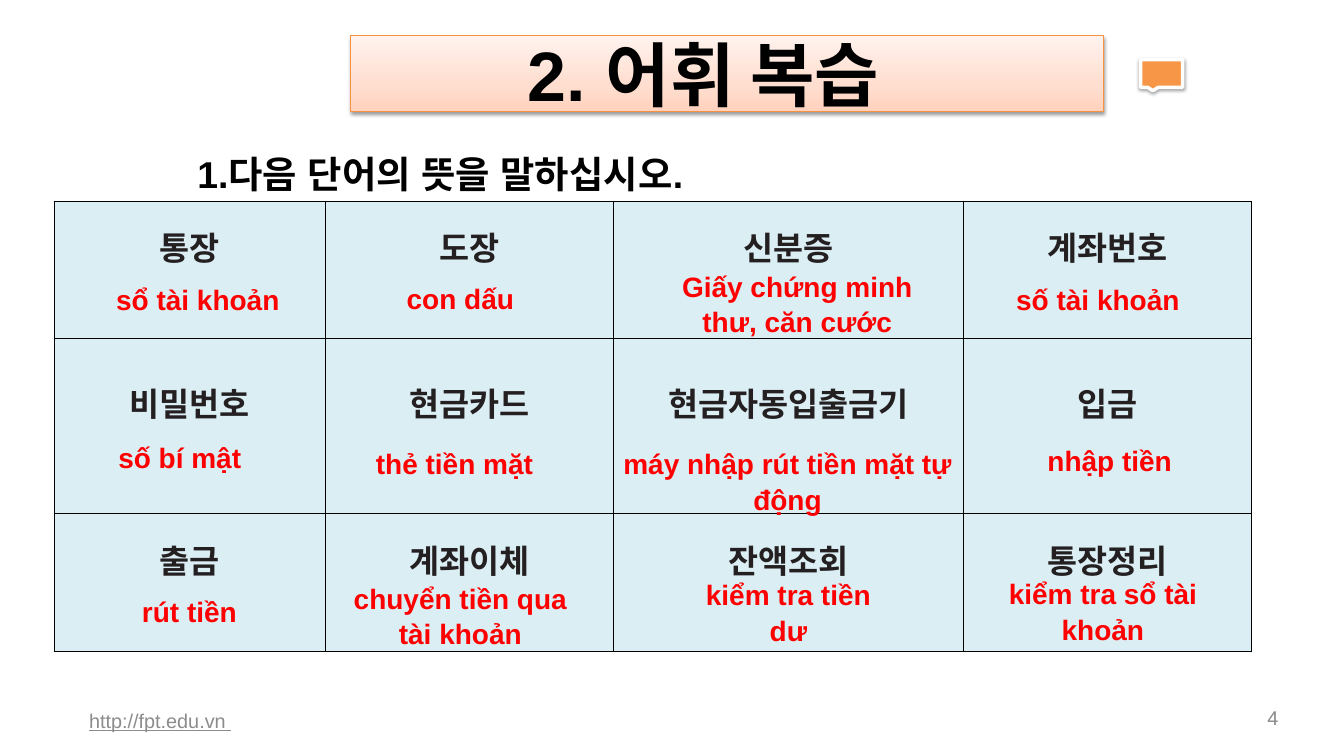
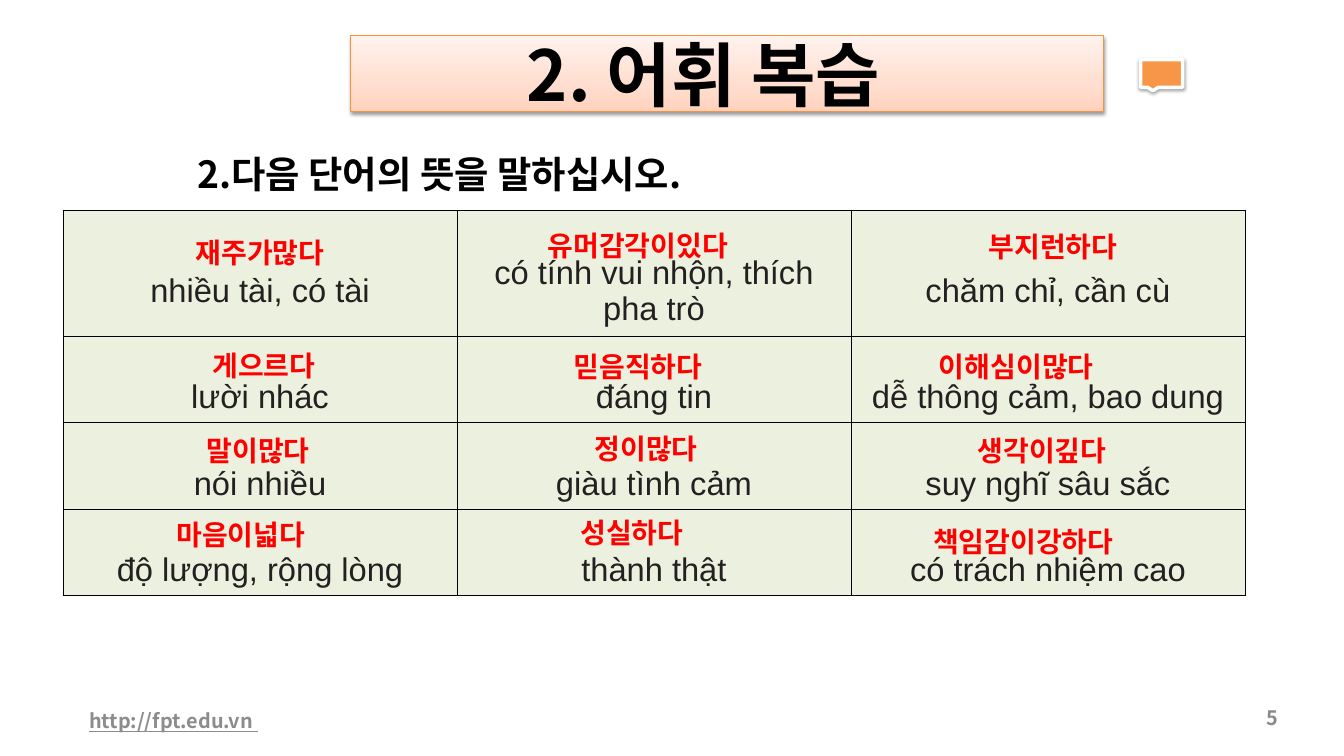
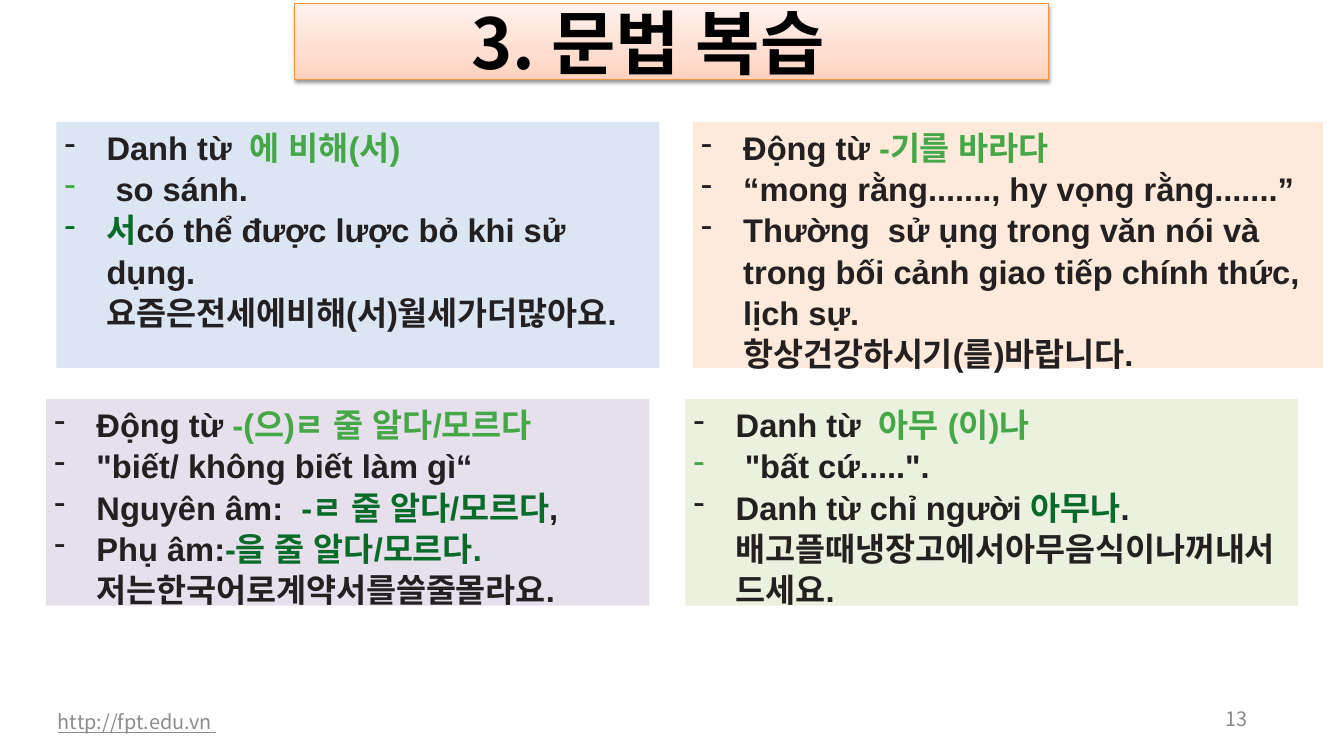
"""Build three Korean vocabulary and grammar review slides."""
from dataclasses import dataclass

from lxml import etree
from pptx import Presentation
from pptx import util as u
from pptx.dml.color import RGBColor
from pptx.enum import shapes, text
from pptx.oxml import ns

Inches, Pt = u.Inches, u.Pt
CENTER, LEFT, RIGHT = text.PP_ALIGN.CENTER, text.PP_ALIGN.LEFT, text.PP_ALIGN.RIGHT
TOP, MIDDLE = text.MSO_ANCHOR.TOP, text.MSO_ANCHOR.MIDDLE


@dataclass(frozen=True)
class Theme:
    latin: str = "Arial"
    korean: str = "Noto Sans CJK KR"
    black: str = "000000"
    ink: str = "242021"
    red: str = "FF0000"
    green: str = "45A747"
    forest: str = "096B29"
    link: str = "8C8C8C"
    number: str = "898989"
    orange: str = "F79646"
    white: str = "FFFFFF"
    title_line: str = "F69240"
    title_stops: tuple = ((0, "FFD2BD"), (35, "FFDED0"), (100, "FFF2ED"))
    title_size: int = 60
    heading_size: int = 32
    body_size: int = 28
    label_size: int = 24
    footer_size: int = 17
    loose: float = 1.05


THEME = Theme()
FOOTER = "http://fpt.edu.vn "

WORDS = {
    "title": "2. 어휘 복습", "heading": "1.다음 단어의 뜻을 말하십시오.",
    "number": "4", "font": THEME.latin, "bold_footer": False,
    "at": (0.64, 2.39), "cols": (3.23, 3.43, 4.17, 3.43), "rows": (1.64, 2.08, 1.64),
    "fill": "DBEEF4", "cell_font": THEME.korean, "bold": True,
    "margins": (0.05, 0.6), "label_align": CENTER,
    "cells": (
        ("통장", "도장", "신분증", "계좌번호"),
        ("비밀번호", "현금카드", "현금자동입출금기", "입금"),
        ("출금", "계좌이체", "잔액조회", "통장정리"),
    ),
    "labels": (
        ("sổ tài khoản", 1.08, 3.29, 2.55, 0.5),
        ("con dấu", 4.42, 3.28, 2.12, 0.5),
        ("Giấy chứng minh thư, căn cước", 7.78, 3.14, 3.42, 0.91),
        ("số tài khoản", 11.52, 3.29, 3.1, 0.5),
        ("số bí mật", 1.2, 5.18, 1.88, 0.5),
        ("thẻ tiền mặt", 4.12, 5.25, 2.58, 0.5),
        ("máy nhập rút tiền mặt tự động", 7.25, 5.25, 4.25, 0.91),
        ("nhập tiền", 11.95, 5.21, 2.52, 0.5),
        ("rút tiền", 1.39, 7.01, 1.73, 0.5),
        ("chuyển tiền qua tài khoản", 4.06, 6.85, 2.84, 0.91),
        ("kiểm tra tiền dư", 8.14, 6.81, 2.49, 0.91),
        ("kiểm tra sổ tài khoản", 11.58, 6.8, 3.1, 0.91),
    ),
}
TRAITS = {
    "title": "2. 어휘 복습", "heading": "2.다음 단어의 뜻을 말하십시오.",
    "number": "5", "font": THEME.korean, "bold_footer": True,
    "at": (0.75, 2.5), "cols": (4.69,) * 3, "rows": (1.5, 1.03, 1.03, 1.03),
    "fill": "EBF1DE", "cell_font": THEME.latin, "bold": False,
    "margins": (0.48, 0.05), "label_align": LEFT,
    "cells": (
        ("nhiều tài, có tài", "có tính vui nhộn, thích pha trò", "chăm chỉ, cần cù"),
        ("lười nhác", "đáng tin", "dễ thông cảm, bao dung"),
        ("nói nhiều", "giàu tình cảm", "suy nghĩ sâu sắc"),
        ("độ lượng, rộng lòng", "thành thật", "có trách nhiệm cao"),
    ),
    "labels": (
        ("재주가많다", 2.23, 2.74, 2.19, 0.5),
        ("유머감각이있다", 6.42, 2.65, 2.83, 0.5),
        ("부지런하다", 11.67, 2.66, 2.1, 0.5),
        ("게으르다", 2.43, 4.08, 1.98, 0.5),
        ("믿음직하다", 6.73, 4.09, 2.13, 0.5),
        ("이해심이많다", 11.08, 4.09, 2.48, 0.5),
        ("말이많다", 2.36, 5.09, 1.92, 0.5),
        ("정이많다", 6.98, 5.07, 1.73, 0.5),
        ("생각이깊다", 11.54, 5.09, 2.1, 0.5),
        ("마음이넓다", 2, 6.09, 1.92, 0.5),
        ("성실하다", 6.81, 6.07, 1.73, 0.5),
        ("책임감이강하다", 11.01, 6.18, 2.98, 0.5),
    ),
}
INK, GREEN, FOREST = THEME.ink, THEME.green, THEME.forest
GRAMMAR = (
    ((0.55, 4.75, 7.18, 2.46), "E6E0EC", (
        (("Động từ ", INK), ("-(으)ㄹ 줄 알다/모르다", GREEN)),
        (("\"biết/ không biết làm gì“", INK),),
        (("Nguyên âm:  ", INK), ("-ㄹ 줄 알다/모르다", FOREST), (",", INK)),
        (("Phụ âm:", INK), ("-을 줄 알다/모르다.\n", FOREST),
         ("저는한국어로계약서를쓸줄몰라요.", INK)),
    )),
    ((0.67, 1.45, 7.18, 2.93), "DCE6F2", (
        (("Danh từ  ", INK), ("에 비해(서)", GREEN)),
        ((" ", GREEN), ("so sánh.", INK)),
        (("서", FOREST),
         ("có thể được lược bỏ khi sử dụng.\n요즘은전세에비해(서)월세가더많아요.", INK)),
    )),
    ((8.25, 1.45, 7.5, 2.93), "FDEADA", (
        (("Động từ ", INK), ("-기를 바라다", GREEN)),
        (("“mong rằng......., hy vọng rằng.......”", INK),),
        (("Thường  sử ụng trong văn nói và trong bối cảnh giao tiếp chính thức, "
          "lịch sự.\n항상건강하시기(를)바랍니다.", INK),),
    )),
    ((8.16, 4.75, 7.29, 2.46), "EBF1DE", (
        (("Danh từ  ", INK), ("아무 (이)나", GREEN)),
        ((" ", GREEN), ("\"bất cứ.....\".", INK)),
        (("Danh từ chỉ người ", INK), ("아무나", FOREST),
         (".\n배고플때냉장고에서아무음식이나꺼내서드세요.", INK)),
    )),
)


def rgb(value):
    return RGBColor.from_string(value)


def add_node(parent, tag, **attributes):
    node = etree.SubElement(parent, ns.qn(tag))
    for name, value in attributes.items():
        node.set(name, str(value))
    return node


def style_span(span, size, color, name=THEME.latin, asian=None, bold=False):
    font = span.font
    font.size, font.bold, font.name = Pt(size), bold, name
    font.color.rgb = rgb(color)
    add_node(span._r.get_or_add_rPr(), "a:ea", typeface=asian or name)


def set_frame(frame, anchor=TOP, margins=(0.1, 0.05, 0.1, 0.05)):
    frame.word_wrap = True
    frame.auto_size = text.MSO_AUTO_SIZE.NONE
    frame.vertical_anchor = anchor
    (frame.margin_left, frame.margin_top,
     frame.margin_right, frame.margin_bottom) = map(Inches, margins)


def add_text(page, words, at, align=LEFT, anchor=TOP, margins=(0.1, 0.05, 0.1, 0.05),
             spacing=None, **style):
    box = page.shapes.add_textbox(*map(Inches, at))
    set_frame(box.text_frame, anchor, margins)
    para = box.text_frame.paragraphs[0]
    para.text, para.alignment, para.line_spacing = words, align, spacing
    style_span(para.runs[0], **style)
    return para.runs[0]


def add_shadow(shape):
    shape.shadow.inherit = False
    effects = shape._element.spPr.find(ns.qn("a:effectLst"))
    shadow = add_node(effects, "a:outerShdw", blurRad=Pt(3.1), dist=Pt(1.6),
                      dir=90 * 60000, rotWithShape=0)
    color = add_node(shadow, "a:srgbClr", val=THEME.black)
    add_node(color, "a:alpha", val=38000)


def add_title(page, words, left, top, font):
    title = page.shapes.title
    title.left, title.top, title.width, title.height = map(Inches, (left, top, 8.97, 0.91))
    title.fill.gradient()
    title.fill.gradient_angle = 90
    stops = title._element.spPr.find(".//" + ns.qn("a:gsLst"))
    for stop in list(stops):
        stops.remove(stop)
    for position, color in THEME.title_stops:
        stop = add_node(stops, "a:gs", pos=position * 1000)
        add_node(stop, "a:srgbClr", val=color)
    title.line.color.rgb = rgb(THEME.title_line)
    title.line.width = Pt(0.75)
    add_shadow(title)
    title.text_frame.text = words
    set_frame(title.text_frame, MIDDLE, (0.1, 0.05, 0.66, 0.05))
    para = title.text_frame.paragraphs[0]
    para.alignment = CENTER
    style_span(para.runs[0], THEME.title_size, THEME.black, font, THEME.korean, True)


def add_footer(page, number, font, bold=False, left=0.92, top=8.34):
    shared = dict(anchor=MIDDLE, margins=(0.14, 0.07, 0.14, 0.07),
                  size=THEME.footer_size, name=font, bold=bold)
    link = add_text(page, FOOTER, (left, top, 5.07, 0.48), color=THEME.link, **shared)
    link.font.underline = True
    add_text(page, number, (left + 13.66, top, 0.78, 0.41), RIGHT,
             color=THEME.number, **shared)


def add_callout(page):
    callout = page.shapes.add_shape(shapes.MSO_SHAPE.RECTANGULAR_CALLOUT,
                                    *map(Inches, (13.58, 0.71, 0.5, 0.33)))
    callout.fill.solid()
    callout.fill.fore_color.rgb = rgb(THEME.orange)
    callout.line.color.rgb = rgb(THEME.white)
    callout.line.width = Pt(3)
    add_shadow(callout)


def style_cell(cell, words, deck_page):
    cell.text = words
    cell.vertical_anchor = MIDDLE
    cell.margin_top, cell.margin_bottom = map(Inches, deck_page["margins"])
    para = cell.text_frame.paragraphs[0]
    para.alignment = CENTER
    style_span(para.runs[0], THEME.body_size, INK, deck_page["cell_font"],
               bold=deck_page["bold"])
    properties = cell._tc.get_or_add_tcPr()
    for side in ("a:lnL", "a:lnR", "a:lnT", "a:lnB"):
        border = add_node(properties, side, w=Pt(0.5))
        add_node(add_node(border, "a:solidFill"), "a:srgbClr", val=THEME.black)
    cell.fill.solid()
    cell.fill.fore_color.rgb = rgb(deck_page["fill"])


def add_vocabulary(page, data):
    add_title(page, data["title"], 4.17, 0.42, data["font"])
    add_footer(page, data["number"], data["font"], data["bold_footer"])
    add_text(page, data["heading"], (2.25, 1.75, 12.58, 0.64), anchor=MIDDLE,
             size=THEME.heading_size, color=THEME.black, name=data["font"],
             asian=data["font"], bold=True)
    add_callout(page)
    cols, rows = data["cols"], data["rows"]
    size = (*data["at"], sum(cols), sum(rows))
    table = page.shapes.add_table(len(rows), len(cols), *map(Inches, size)).table
    table.first_row = table.horz_banding = False
    for column, width in zip(table.columns, cols):
        column.width = Inches(width)
    for row, height, entries in zip(table.rows, rows, data["cells"]):
        row.height = Inches(height)
        for cell, words in zip(row.cells, entries):
            style_cell(cell, words, data)
    for words, *at in data["labels"]:
        add_text(page, words, at, data["label_align"], spacing=THEME.loose,
                 size=THEME.label_size, color=THEME.red, bold=True)


def add_panel(page, at, fill, points):
    panel = page.shapes.add_shape(shapes.MSO_SHAPE.RECTANGLE, *map(Inches, at))
    panel.shadow.inherit = False
    panel.fill.solid()
    panel.fill.fore_color.rgb = rgb(fill)
    panel.line.fill.background()
    frame = panel.text_frame
    set_frame(frame)
    for index, pieces in enumerate(points):
        para = frame.add_paragraph() if index else frame.paragraphs[0]
        para.alignment, para.line_spacing = LEFT, THEME.loose
        properties = para._p.get_or_add_pPr()
        properties.set("marL", str(Inches(0.5)))
        properties.set("indent", str(-Inches(0.5)))
        add_node(properties, "a:buFontTx")
        add_node(properties, "a:buChar", char="-")
        for words, color in pieces:
            for order, line in enumerate(words.split("\n")):
                if order:
                    para.add_line_break()
                if line:
                    span = para.add_run()
                    span.text = line
                    style_span(span, THEME.body_size, color, bold=True)


def main():
    deck = Presentation()
    deck.slide_width, deck.slide_height = Inches(16), Inches(9)
    title_only = deck.slide_layouts[5]
    for data in (WORDS, TRAITS):
        add_vocabulary(deck.slides.add_slide(title_only), data)
    page = deck.slides.add_slide(title_only)
    add_title(page, "3. 문법 복습", 3.51, 0.04, THEME.korean)
    add_footer(page, "13", THEME.korean, left=0.55, top=8.35)
    for panel in GRAMMAR:
        add_panel(page, *panel)
    deck.save("out.pptx")


if __name__ == "__main__":
    main()
